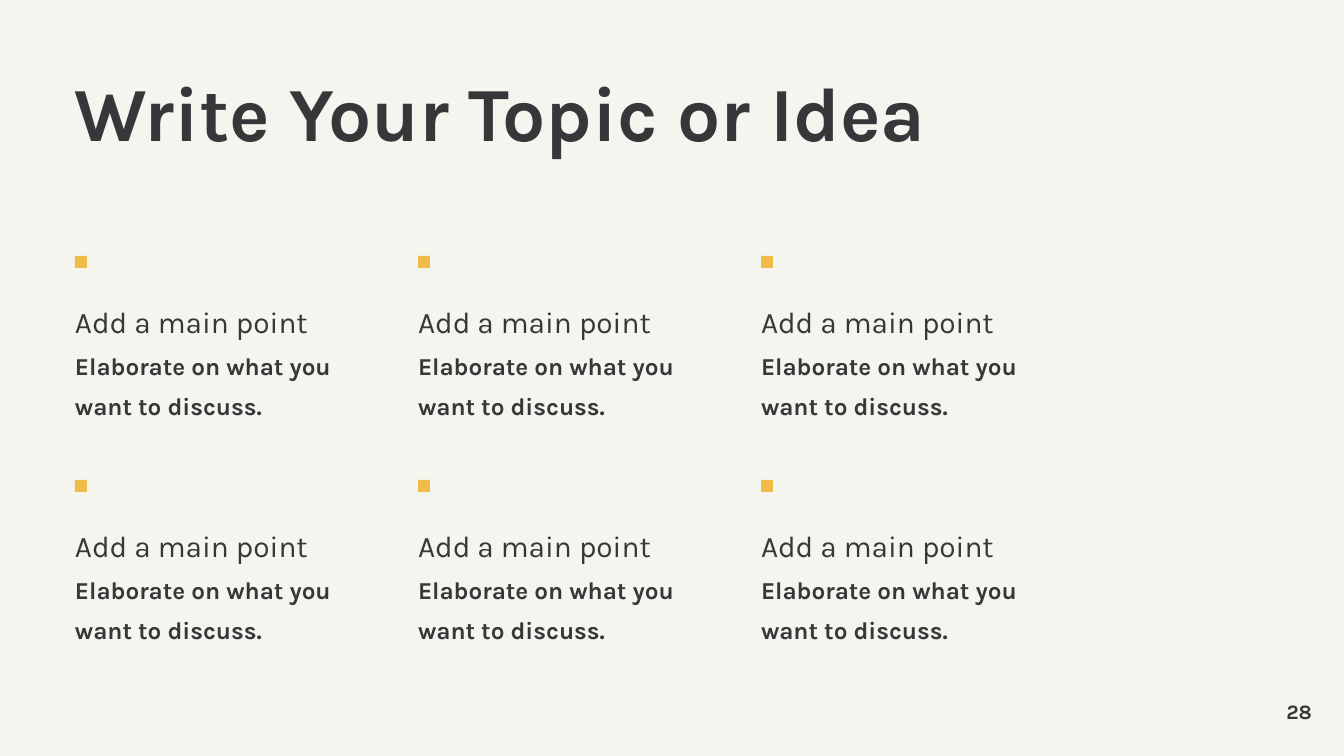
from copy import deepcopy

from pptx import Presentation
from pptx import util as u
from pptx.dml.color import RGBColor
from pptx.enum import shapes, text

PX = 914400 / 134.4
CREAM = RGBColor(0xF5, 0xF5, 0xEF)
CHARCOAL = RGBColor(0x36, 0x37, 0x39)
AMBER = RGBColor(0xEF, 0xBC, 0x49)
FONT = "Karla"
POINTS = [("Add a main point", "Elaborate on what you want to discuss.")] * 6
COLUMNS = 3


def px(*lengths):
    """Turn pixel lengths into EMU."""
    return [u.Emu(round(length * PX)) for length in lengths]


def add_text_box(slide, box, anchor=text.MSO_ANCHOR.TOP):
    """Add a wrapping box without margins and return its frame."""
    frame = slide.shapes.add_textbox(*px(*box)).text_frame
    frame.word_wrap = True
    frame.vertical_anchor = anchor
    frame.margin_left = frame.margin_top = 0
    frame.margin_right = frame.margin_bottom = 0
    return frame


def add_run(paragraph, words, size, bold=False):
    """Add one styled run to a paragraph."""
    run = paragraph.add_run()
    run.text = words
    run.font.name = FONT
    run.font.size = u.Pt(size)
    run.font.bold = bold
    run.font.color.rgb = CHARCOAL
    return run


def add_title(slide, box, words):
    """Place the slide title."""
    paragraph = add_text_box(slide, box).paragraphs[0]
    paragraph.line_spacing = 0.9
    add_run(paragraph, words, 41, bold=True)


def add_point(slide, box, heading, detail):
    """Place a square marker with a heading and its detail below."""
    left, top, width, height = box
    marker = slide.shapes.add_shape(shapes.MSO_SHAPE.RECTANGLE, *px(left, top, 12, 12))
    marker.shadow.inherit = False
    marker.fill.solid()
    marker.fill.fore_color.rgb = AMBER
    marker.line.fill.background()

    paragraph = add_text_box(slide, (left, top + 33, width, height - 33)).paragraphs[0]
    paragraph.line_spacing = 1.4
    heading_run = add_run(paragraph, heading, 16)
    paragraph.add_line_break()
    paragraph._p[-1].append(deepcopy(heading_run._r.rPr))
    add_run(paragraph, detail, 13, bold=True)


def add_point_grid(slide, box, points):
    """Place the points row by row in a grid."""
    left, top, column_step, row_step = box
    for index, (heading, detail) in enumerate(points):
        row, column = divmod(index, COLUMNS)
        cell = (left + column * column_step, top + row * row_step, 310, 174)
        add_point(slide, cell, heading, detail)


def add_page_number(slide, box, number):
    """Place the page number at the right edge of its box."""
    paragraph = add_text_box(slide, box, text.MSO_ANCHOR.MIDDLE).paragraphs[0]
    paragraph.alignment = text.PP_ALIGN.RIGHT
    add_run(paragraph, number, 11, bold=True)


def main():
    """Build and save the slide."""
    presentation = Presentation()
    presentation.slide_width, presentation.slide_height = px(1344, 756)
    slide = presentation.slides.add_slide(presentation.slide_layouts[6])
    slide.background.fill.solid()
    slide.background.fill.fore_color.rgb = CREAM
    add_title(slide, (75, 75, 953, 106), "Write Your Topic or Idea")
    add_point_grid(slide, (75, 256, 343, 224), POINTS)
    add_page_number(slide, (1231, 698, 81, 27), "28")
    presentation.save("out.pptx")


if __name__ == "__main__":
    main()
